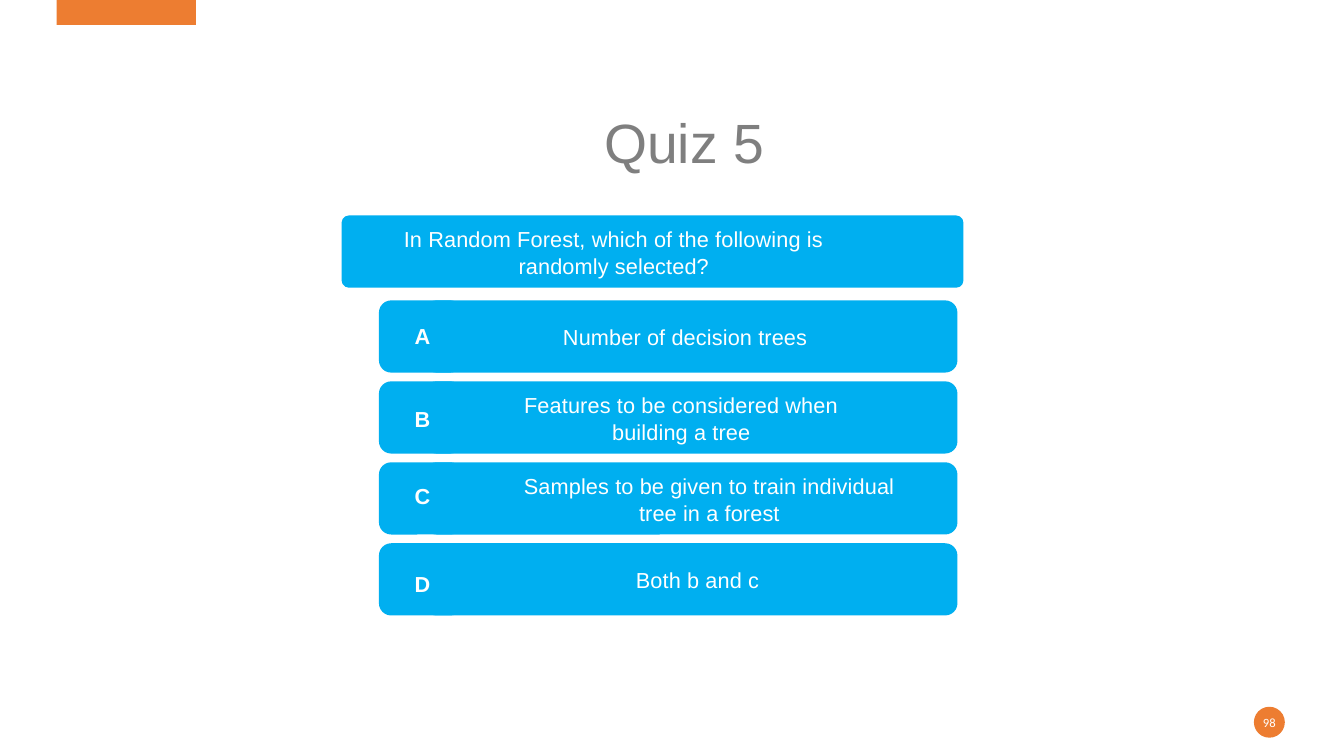
from pptx import Presentation
from pptx.dml.color import RGBColor
from pptx.enum.shapes import MSO_SHAPE
from pptx.enum.text import MSO_ANCHOR, MSO_AUTO_SIZE, PP_ALIGN
from pptx.util import Cm, Pt

RECTANGLE = MSO_SHAPE.RECTANGLE
ROUNDED = MSO_SHAPE.ROUNDED_RECTANGLE
OVAL = MSO_SHAPE.OVAL
MIDDLE = MSO_ANCHOR.MIDDLE
CENTER = PP_ALIGN.CENTER
NO_AUTOFIT = MSO_AUTO_SIZE.NONE

ORANGE = RGBColor(0xED, 0x7D, 0x31)
BLUE = RGBColor(0x00, 0xAF, 0xF0)
GRAY = RGBColor(0x7F, 0x7F, 0x7F)
WHITE = RGBColor(0xFF, 0xFF, 0xFF)

BAR_HEIGHT = 1.82
FIRST_OPTION_TOP = 7.57
OPTION_PITCH = 2.04

prs = Presentation()
prs.slide_width = Cm(33.87)
prs.slide_height = Cm(19.05)
slide = prs.slides.add_slide(prs.slide_layouts[5])


def add_block(kind, left, top, width, height, color, rounding=None):
    block = slide.shapes.add_shape(kind, Cm(left), Cm(top), Cm(width), Cm(height))
    block.shadow.inherit = False
    block.fill.solid()
    block.fill.fore_color.rgb = color
    block.line.fill.background()
    if rounding is not None:
        block.adjustments[0] = rounding
    return block


def write(holder, wording, size=15.5, font="Arial", color=WHITE, bold=False, wrap=True):
    frame = holder.text_frame
    frame.auto_size = NO_AUTOFIT
    frame.word_wrap = wrap
    frame.vertical_anchor = MIDDLE
    frame.margin_left = frame.margin_right = 0
    frame.margin_top = frame.margin_bottom = 0
    paragraph = frame.paragraphs[0]
    paragraph.alignment = CENTER
    paragraph.line_spacing = 1.05
    run = paragraph.add_run()
    run.text = wording
    run.font.size = Pt(size)
    run.font.name = font
    run.font.bold = bold
    run.font.color.rgb = color
    run.font._element.set("spc", "10")


add_block(RECTANGLE, 1.43, 0, 3.51, 0.63, ORANGE)
page_badge = add_block(OVAL, 31.6, 17.81, 0.78, 0.78, ORANGE)
write(page_badge, "98", size=9, font="Calibri", wrap=False)

title = slide.shapes.title
title.left, title.top, title.width, title.height = Cm(14.86), Cm(2.54), Cm(4.77), Cm(1.96)
write(title, "Quiz 5", size=39.5, color=GRAY, wrap=False)

add_block(ROUNDED, 8.61, 5.43, 15.67, BAR_HEIGHT, BLUE, 0.1)
question = slide.shapes.add_textbox(Cm(9.47), Cm(5.43), Cm(12), Cm(BAR_HEIGHT))
write(question, "In Random Forest, which of the following is randomly selected?")

options = [
    ("A", 7.98, "Number of decision trees", 17.27, 7.4),
    ("B", 10.06, "Features to be considered when building a tree", 17.17, 9.4),
    ("C", 12.01, "Samples to be given to train individual tree in a forest", 17.88, 9.9),
    ("D", 14.23, "Both b and c", 17.58, 3.8),
]
for index, (letter, letter_top, wording, center, width) in enumerate(options):
    top = FIRST_OPTION_TOP + index * OPTION_PITCH
    add_block(ROUNDED, 9.55, top, 2.11, BAR_HEIGHT, BLUE, 0.17)
    add_block(ROUNDED, 10.69, top, 13.44, BAR_HEIGHT, BLUE, 0.17)
    answer = slide.shapes.add_textbox(Cm(center - width / 2), Cm(top), Cm(width), Cm(BAR_HEIGHT))
    write(answer, wording)
    letter_tile = add_block(RECTANGLE, 9.9, letter_top, 1.49, 0.94, BLUE)
    write(letter_tile, letter, bold=True)

prs.save("out.pptx")
